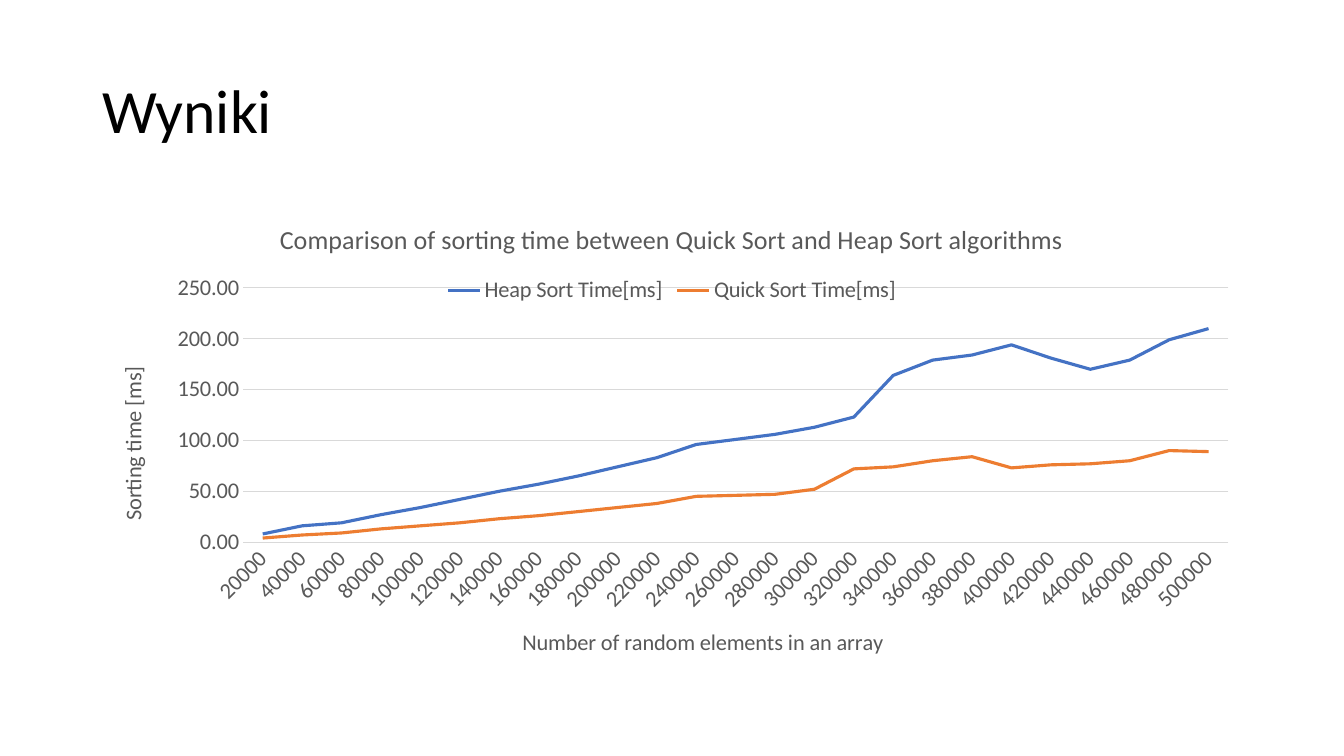
from lxml.etree import SubElement
from pptx import Presentation
from pptx.chart.data import CategoryChartData
from pptx.dml.color import RGBColor
from pptx.enum.chart import XL_CHART_TYPE as ChartType
from pptx.enum.chart import XL_LEGEND_POSITION as LegendPosition
from pptx.enum.chart import XL_TICK_MARK as TickMark
from pptx.enum.text import MSO_ANCHOR as Anchor
from pptx.enum.text import PP_ALIGN as Align
from pptx.oxml.ns import qn
from pptx.util import Pt

BLACK = RGBColor(0x00, 0x00, 0x00)
GRAY = RGBColor(0x59, 0x59, 0x59)
GRID = RGBColor(0xD9, 0xD9, 0xD9)
BLUE = RGBColor(0x44, 0x72, 0xC4)
ORANGE = RGBColor(0xED, 0x7D, 0x31)

ELEMENT_COUNTS = range(20000, 500001, 20000)
SORT_TIMES = [
    ("Heap Sort Time[ms]", BLUE,
     [8, 16, 19, 27, 34, 42, 50, 57, 65, 74, 83, 96, 101, 106, 113,
      123, 164, 179, 184, 194, 181, 170, 179, 199, 210]),
    ("Quick Sort Time[ms]", ORANGE,
     [4, 7, 9, 13, 16, 19, 23, 26, 30, 34, 38, 45, 46, 47, 52,
      72, 74, 80, 84, 73, 76, 77, 80, 90, 89]),
]
PLOT_AREA = {"x": 0.13, "y": 0.18, "w": 0.85, "h": 0.53}


class SlideBuilder:
    font_name = "Calibri"
    chart_size = 16

    def __init__(self, deck):
        self.slide = deck.slides.add_slide(deck.slide_layouts[5])

    def style_font(self, font, size, color):
        font.name = self.font_name
        font.size = Pt(size)
        font.bold = False
        font.color.rgb = color

    def add_title(self, text, left, top, width, height):
        title = self.slide.shapes.title
        title.left, title.top = Pt(left), Pt(top)
        title.width, title.height = Pt(width), Pt(height)
        frame = title.text_frame
        frame.text = text
        frame.vertical_anchor = Anchor.MIDDLE
        para = frame.paragraphs[0]
        para.alignment = Align.LEFT
        para.line_spacing = 0.9
        self.style_font(para.font, 44, BLACK)

    def add_line_chart(self, categories, series, left, top, width, height):
        data = CategoryChartData(number_format="0.00")
        data.categories = [str(category) for category in categories]
        for name, _, values in series:
            data.add_series(name, values)
        chart = self.slide.shapes.add_chart(
            ChartType.LINE, Pt(left), Pt(top), Pt(width), Pt(height), data).chart
        self.style_font(chart.font, self.chart_size, GRAY)
        chart.plots[0].vary_by_categories = False
        for line, (_, color, _) in zip(chart.plots[0].series, series):
            line.smooth = False
            line.format.line.color.rgb = color
            line.format.line.width = Pt(2.25)
        return chart

    def add_chart_text(self, owner, text, size, rotation=0):
        frame = owner.text_frame
        frame.text = text
        self.style_font(frame.paragraphs[0].font, size, GRAY)
        self.rotate(frame._txBody, rotation)

    def rotate(self, text_body, degrees):
        body = text_body.find(qn("a:bodyPr"))
        body.set("rot", str(degrees * 60000))
        body.set("vert", "horz")

    def style_axis(self, axis, title, title_rotation=0):
        axis.major_tick_mark = TickMark.NONE
        axis.minor_tick_mark = TickMark.NONE
        self.style_font(axis.tick_labels.font, self.chart_size, GRAY)
        self.add_chart_text(axis.axis_title, title, self.chart_size, title_rotation)

    def style_line(self, line):
        line.color.rgb = GRID
        line.width = Pt(0.75)

    def add_legend(self, chart):
        chart.has_legend = True
        chart.legend.position = LegendPosition.TOP
        chart.legend.include_in_layout = True
        self.style_font(chart.legend.font, self.chart_size, GRAY)

    def place_plot(self, chart, area):
        plot_area = chart._chartSpace.chart.plotArea
        layout = plot_area.find(qn("c:layout"))
        if layout is None:
            layout = SubElement(plot_area, qn("c:layout"))
            plot_area.insert(0, layout)
        manual = SubElement(layout, qn("c:manualLayout"))
        settings = {"layoutTarget": "inner", "xMode": "edge", "yMode": "edge", **area}
        for tag, value in settings.items():
            SubElement(manual, qn("c:" + tag)).set("val", str(value))


deck = Presentation()
deck.slide_width, deck.slide_height = Pt(960), Pt(540)
builder = SlideBuilder(deck)
builder.add_title("Wyniki", 66, 28.8, 828, 104.4)

chart = builder.add_line_chart(ELEMENT_COUNTS, SORT_TIMES, 66, 144, 828, 342.7)
chart.has_title = True
builder.add_chart_text(
    chart.chart_title,
    "Comparison of sorting time between Quick Sort and Heap Sort algorithms", 18.6)
builder.add_legend(chart)
builder.place_plot(chart, PLOT_AREA)

count_axis = chart.category_axis
builder.style_axis(count_axis, "Number of random elements in an array")
builder.style_line(count_axis.format.line)
builder.rotate(count_axis._element.find(qn("c:txPr")), -45)

time_axis = chart.value_axis
builder.style_axis(time_axis, "Sorting time [ms]", -90)
time_axis.minimum_scale, time_axis.maximum_scale = 0, 250
time_axis.major_unit = 50
time_axis.tick_labels.number_format = "0.00"
time_axis.tick_labels.number_format_is_linked = False
time_axis.format.line.fill.background()
builder.style_line(time_axis.major_gridlines.format.line)

deck.save("out.pptx")
